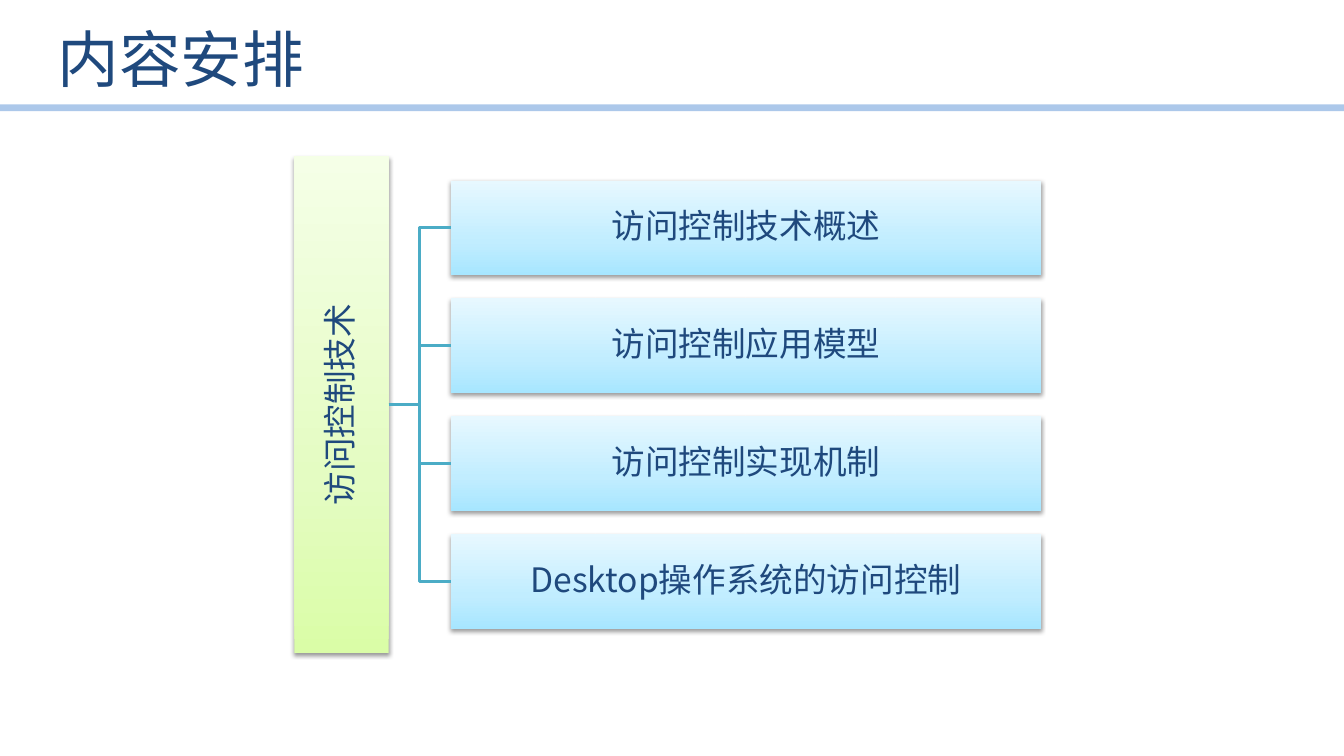
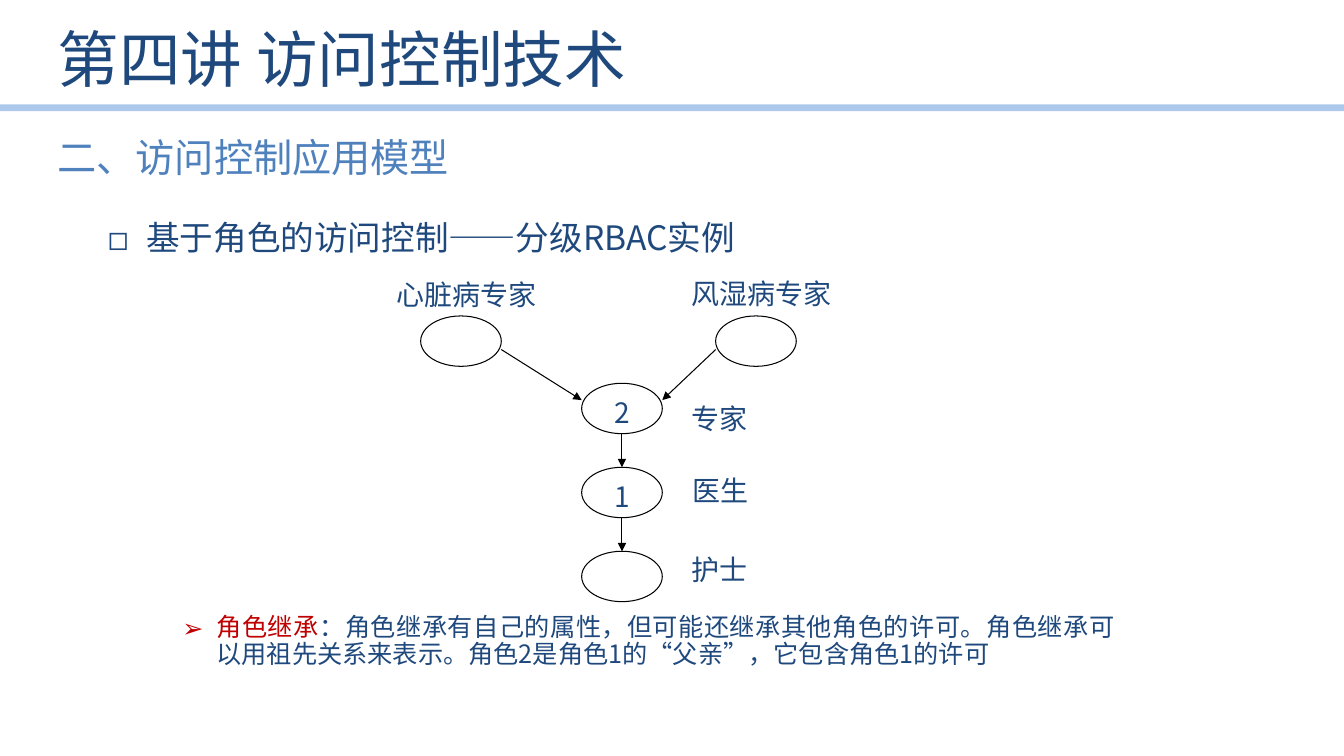
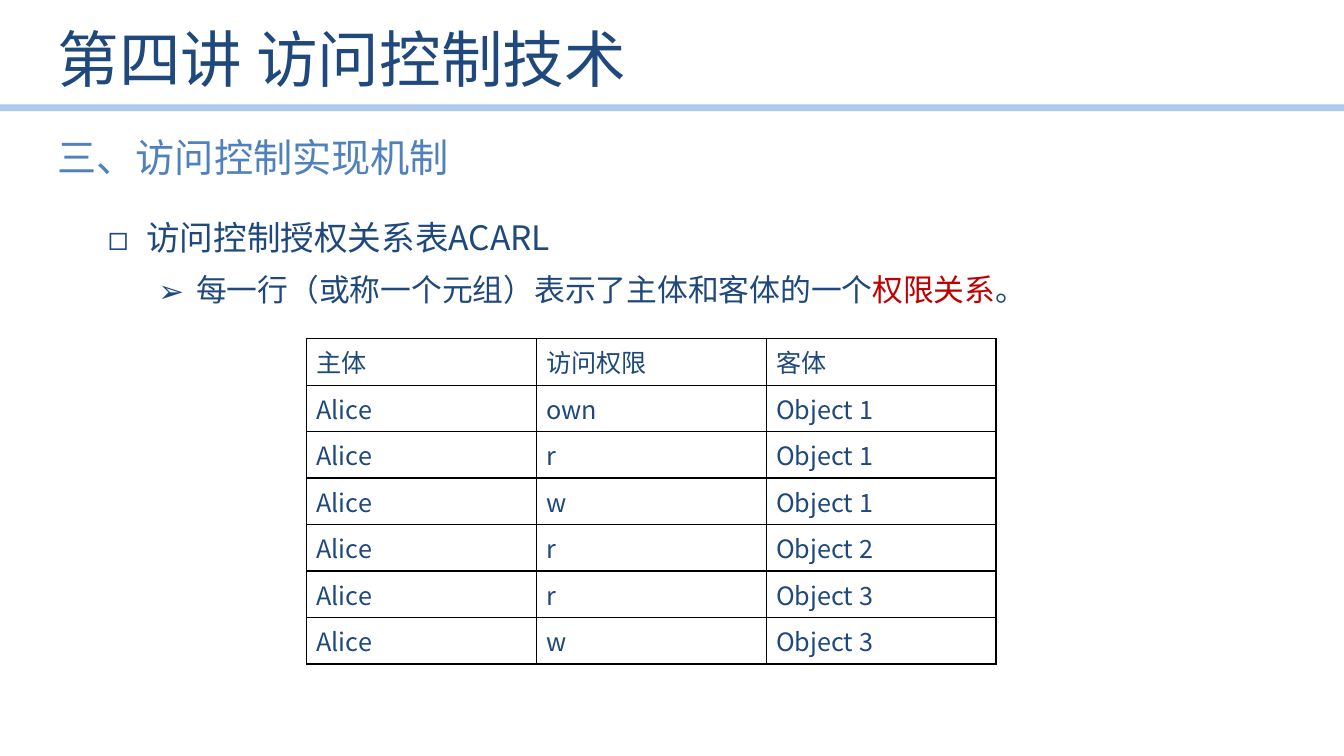
"""Build three slides on access control: outline, role hierarchy and relation table."""
from lxml import etree
from pptx import Presentation
from pptx.dml.color import RGBColor
from pptx.enum import shapes, text
from pptx.oxml.ns import qn
from pptx.util import Pt

FONT = "Noto Sans CJK SC"
C = {"navy": "1F497D", "blue": "4F81BD", "band": "8EB4E3", "teal": "4BACC6",
     "red": "C00000", "black": "000000", "white": "FFFFFF"}
GREEN = [(0, "DAFDA7"), (35, "E4FCC2"), (100, "F5FFE7")]
SKY = [(0, "A7E6FF"), (35, "C1EDFF"), (100, "E7F8FF")]
ALIGN, ANCHOR = text.PP_ALIGN, text.MSO_ANCHOR
RECT, OVAL = shapes.MSO_SHAPE.RECTANGLE, shapes.MSO_SHAPE.OVAL
STRAIGHT, ELBOW = shapes.MSO_CONNECTOR.STRAIGHT, shapes.MSO_CONNECTOR.ELBOW

LECTURE = "第四讲 访问控制技术"
OUTLINE = {
    "title": "内容安排",
    "root": "访问控制技术",
    "topics": ["访问控制技术概述", "访问控制应用模型", "访问控制实现机制",
               "Desktop操作系统的访问控制"],
}
ROLES = {
    "section": "二、访问控制应用模型",
    "points": [[("基于角色的访问控制——分级RBAC实例", "navy")]],
    "labels": [("心脏病专家", 281.5, 197.3), ("风湿病专家", 492.5, 196.6),
               ("专家", 492.5, 285.8), ("医生", 493.2, 337.7), ("护士", 492.5, 393.8)],
    "experts": [300.5, 511.2],
    "chain": ["2", "1", ""],
    "note": [("角色继承", "red"),
             ("：角色继承有自己的属性，但可能还继承其他角色的许可。角色继承可以用祖先关系来表示。"
              "角色2是角色1的“父亲”，它包含角色1的许可", "navy")],
}
RELATIONS = {
    "section": "三、访问控制实现机制",
    "points": [[("访问控制授权关系表ACARL", "navy")],
               [("每一行（或称一个元组）表示了主体和客体的一个", "navy"),
                ("权限关系", "red"), ("。", "navy")]],
    "rows": [("主体", "访问权限", "客体"),
             ("Alice", "own", "Object 1"), ("Alice", "r", "Object 1"),
             ("Alice", "w", "Object 1"), ("Alice", "r", "Object 2"),
             ("Alice", "r", "Object 3"), ("Alice", "w", "Object 3")],
}
LEVELS = [
    {"size": 24, "bullet": ("◻", 63.4, 27.4), "fmt": {"line_spacing": 1.2}},
    {"size": 22, "bullet": ("➢", 99, 27),
     "fmt": {"line_spacing": 1.2, "space_before": Pt(4.4)}},
]


def rgb(name):
    return RGBColor.from_string(C[name])


def add(parent, tag, **attrs):
    return etree.SubElement(parent, qn(tag), attrs)


def apply(obj, values):
    for name, value in values.items():
        setattr(obj, name, value)


def write(p, runs, size, align=ALIGN.LEFT, bullet=None, fmt=None):
    if bullet:
        char, margin, hang = bullet
        pPr = p._p.get_or_add_pPr()
        pPr.set("marL", str(Pt(margin)))
        pPr.set("indent", str(-Pt(hang)))
        add(pPr, "a:buFont", typeface=FONT)
        add(pPr, "a:buChar", char=char)
    apply(p, {"alignment": align, **(fmt or {})})
    for words, color in runs:
        r = p.add_run()
        r.text = words
        apply(r.font, {"size": Pt(size), "name": FONT, "bold": False})
        r.font.color.rgb = rgb(color)
        ea = etree.Element(qn("a:ea"), typeface=FONT)
        r._r.rPr.find(qn("a:latin")).addnext(ea)


def frame(sp, anchor=ANCHOR.TOP, inset=(7.2, 3.6)):
    tf = sp.text_frame
    x, y = map(Pt, inset)
    apply(tf, {"word_wrap": True, "vertical_anchor": anchor, "margin_left": x,
               "margin_right": x, "margin_top": y, "margin_bottom": y})
    return tf


def textbox(s, box, **fmt):
    sp = s.shapes.add_textbox(*map(Pt, box))
    return sp, frame(sp, **fmt)


def connect(s, color, width, ends=(0, 0, 0, 0), kind=STRAIGHT, arrow=False):
    line = s.shapes.add_connector(kind, *map(Pt, ends))
    line.line.color.rgb = rgb(color)
    line.line.width = Pt(width)
    if arrow:
        add(line.line._get_or_add_ln(), "a:tailEnd", type="triangle")
    add(line._element.spPr, "a:effectLst")
    return line


def new_slide(prs, title):
    s = prs.slides.add_slide(prs.slide_layouts[5])
    band = connect(s, "band", 4.75, (0, 77, 960, 77))
    add(band._element.spPr.find(".//" + qn("a:srgbClr")), "a:alpha", val="73000")
    sp = s.shapes.title
    apply(sp, dict(zip(("left", "top", "width", "height"), map(Pt, (34, 6.5, 793.5, 70)))))
    tf = frame(sp, ANCHOR.MIDDLE)
    tf.auto_size = text.MSO_AUTO_SIZE.NONE
    write(tf.paragraphs[0], [(title, "navy")], 44)
    return s


def lecture_slide(prs, content):
    s = new_slide(prs, LECTURE)
    _, tf = textbox(s, (34, 145.5, 884, 317.5))
    for i, (runs, level) in enumerate(zip(content["points"], LEVELS)):
        p = tf.add_paragraph() if i else tf.paragraphs[0]
        write(p, runs, align=ALIGN.JUSTIFY, **level)
    _, tf = textbox(s, (34, 92, 297.4, 41))
    write(tf.paragraphs[0], [(content["section"], "blue")], 28)
    return s


def gradient_box(s, box, label, stops, vert=None):
    sp = s.shapes.add_shape(RECT, *map(Pt, box))
    sp.line.fill.background()
    sp.fill.gradient()
    sp.fill.gradient_angle = 90
    gs_list = sp._element.spPr.find(".//" + qn("a:gsLst"))
    for gs in list(gs_list):
        gs_list.remove(gs)
    for pos, color in stops:
        add(add(gs_list, "a:gs", pos=str(pos * 1000)), "a:srgbClr", val=color)
    shadow = add(add(sp._element.spPr, "a:effectLst"), "a:outerShdw", blurRad=str(Pt(3.1)),
                 dist=str(Pt(1.6)), dir="5400000", rotWithShape="0")
    add(add(shadow, "a:srgbClr", val=C["black"]), "a:alpha", val="38000")
    tf = frame(sp, ANCHOR.MIDDLE, (1.2, 1.2))
    if vert:
        tf._txBody.bodyPr.set("vert", vert)
    write(tf.paragraphs[0], [(label, "navy")], 24, ALIGN.CENTER, fmt={"line_spacing": 0.9})
    return sp


def outline_slide(prs):
    s = new_slide(prs, OUTLINE["title"])
    mid, thick, pitch, bar_h = 289, 67.5, 84.2, 354.5
    bar = gradient_box(s, (210.2, mid - bar_h / 2, thick, bar_h), OUTLINE["root"], GREEN, "vert270")
    topics = OUTLINE["topics"]
    first = mid - (pitch * (len(topics) - 1) + thick) / 2
    for i, topic in enumerate(topics):
        sp = gradient_box(s, (322, first + i * pitch, 421.5, thick), topic, SKY)
        branch = connect(s, "teal", 2, kind=ELBOW)
        branch.begin_connect(bar, 3)
        branch.end_connect(sp, 1)


def roles_slide(prs):
    s = lecture_slide(prs, ROLES)
    w, h, expert_y, chain_x, chain_y, step = 57.6, 36, 225.7, 415.5, 273.8, 60
    nodes = [(x, expert_y, "") for x in ROLES["experts"]]
    nodes += [(chain_x, chain_y + i * step, t) for i, t in enumerate(ROLES["chain"])]
    for x, y, label in nodes:
        sp = s.shapes.add_shape(OVAL, *map(Pt, (x, y, w, h)))
        sp.shadow.inherit = False
        sp.fill.solid()
        sp.fill.fore_color.rgb = rgb("white")
        sp.line.color.rgb = rgb("black")
        sp.line.width = Pt(0.75)
        if label:
            write(frame(sp).paragraphs[0], [(label, "navy")], 20, ALIGN.CENTER)
    for label, x, y in ROLES["labels"]:
        sp, tf = textbox(s, (x, y, 134, 23.8), inset=(1.4, 0.7))
        sp.fill.solid()
        sp.fill.fore_color.rgb = rgb("white")
        write(tf.paragraphs[0], [(label, "navy")], 20, ALIGN.JUSTIFY)
    left, right = ROLES["experts"]
    start, end, axis = expert_y + h * 2 / 3, chain_y + h / 3, chain_x + w / 2
    arrows = [(left + w, start, chain_x, end), (right, start, chain_x + w, end)]
    arrows += [(axis, chain_y + i * step + h, axis, chain_y + (i + 1) * step)
               for i in range(len(ROLES["chain"]) - 1)]
    for ends in arrows:
        connect(s, "black", 0.75, ends, arrow=True)
    _, tf = textbox(s, (123.1, 435.6, 680.4, 46.8))
    write(tf.paragraphs[0], ROLES["note"], 18, ALIGN.JUSTIFY, ("➢", 24.5, 24.5),
          {"line_spacing": 0.9})


def relations_slide(prs):
    s = lecture_slide(prs, RELATIONS)
    rows = RELATIONS["rows"]
    box = (218.9, 241.9, 492.6, 232.4)
    table = s.shapes.add_table(len(rows), len(rows[0]), *map(Pt, box)).table
    apply(table, {"first_row": False, "horz_banding": False})
    for row, values in zip(table.rows, rows):
        for cell, value in zip(row.cells, values):
            cell.vertical_anchor = ANCHOR.MIDDLE
            cell.fill.background()
            tcPr = cell._tc.get_or_add_tcPr()
            for i, side in enumerate("LRTB"):
                ln = etree.Element(qn("a:ln" + side), w=str(Pt(1)))
                add(add(ln, "a:solidFill"), "a:srgbClr", val=C["black"])
                tcPr.insert(i, ln)
            write(cell.text_frame.paragraphs[0], [(value, "navy")], 18)


def main():
    prs = Presentation()
    apply(prs, {"slide_width": Pt(960), "slide_height": Pt(540)})
    for build in (outline_slide, roles_slide, relations_slide):
        build(prs)
    prs.save("out.pptx")


if __name__ == "__main__":
    main()
